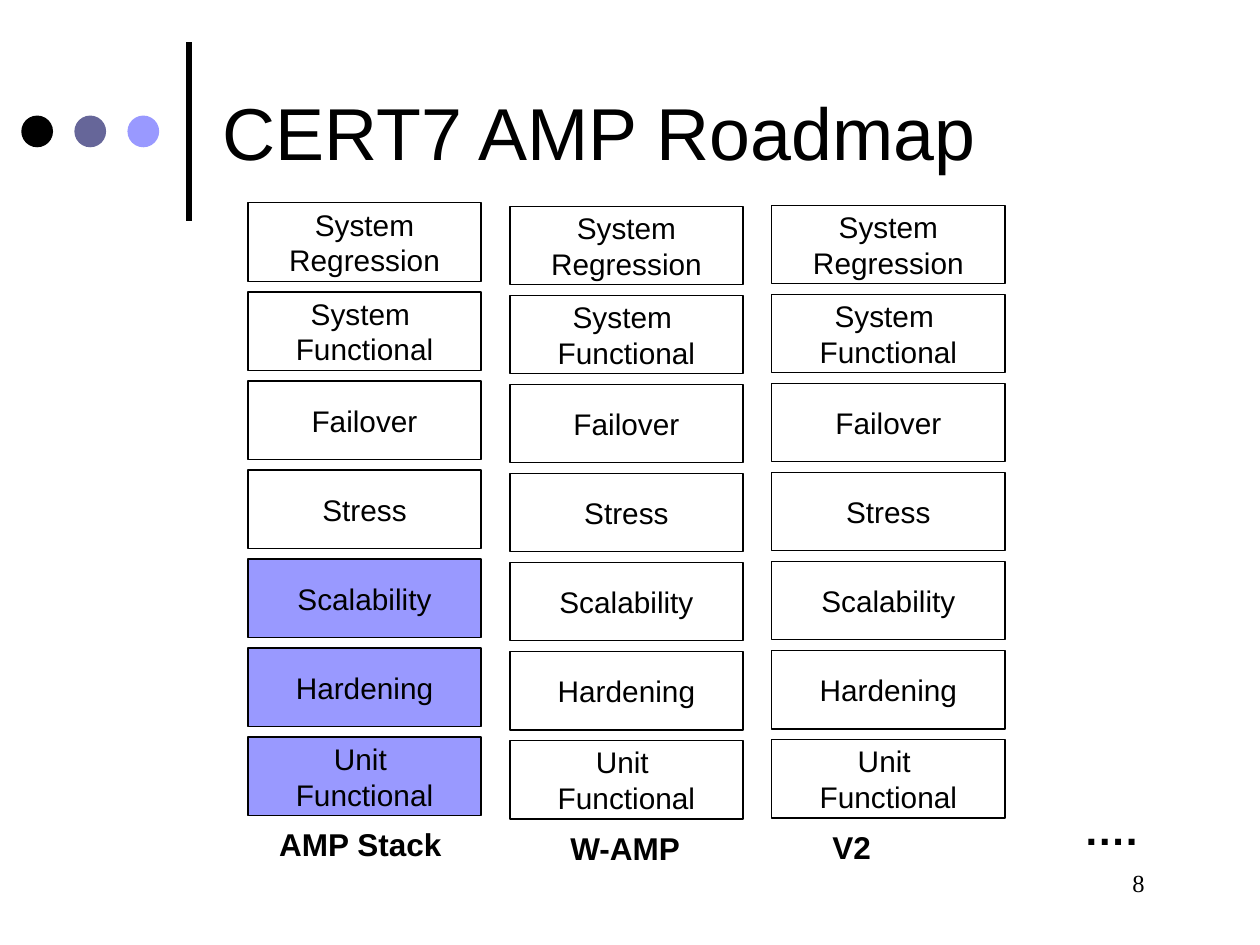
from dataclasses import dataclass

from lxml.etree import SubElement
from pptx import Presentation
from pptx.dml.color import RGBColor
from pptx.enum.shapes import MSO_CONNECTOR, MSO_SHAPE
from pptx.enum.text import MSO_ANCHOR, MSO_AUTO_SIZE, PP_ALIGN
from pptx.oxml.ns import qn
from pptx.util import Cm, Pt

COLORS = {"black": "000000", "slate": "666699", "lilac": "9999FF", "white": "FFFFFF"}
STAGES = ["System\nRegression", "System \nFunctional", "Failover", "Stress",
          "Scalability", "Hardening", "Unit \nFunctional"]
BOX_W, BOX_H = 4.7, 1.58
STACK_H = 12.35
PITCH = (STACK_H - BOX_H) / (len(STAGES) - 1)
COLUMN_LEFT, COLUMN_STEP = 5.0, 5.28
LABEL_DROP, LABEL_H = 12.42, 1.02

BOX_FONT = {"name": "Arial", "size": Pt(17)}
LABEL_FONT = {"name": "Arial", "size": Pt(18), "bold": True}
TITLE_FONT = {"name": "Arial", "size": Pt(42)}
DOTS_FONT = {"name": "Arial", "size": Pt(24), "bold": True}
NUMBER_FONT = {"name": "Times New Roman", "size": Pt(14)}


@dataclass
class Column:
    label: str
    top: float
    label_indent: float
    label_w: float
    done: int = 0


COLUMNS = [
    Column("AMP Stack", 4.09, 0.38, 3.85, done=3),
    Column("W-AMP", 4.16, 0.97, 2.8),
    Column("V2", 4.14, 0.97, 1.4),
]


def rgb(name: str) -> RGBColor:
    return RGBColor.from_string(COLORS[name])


def write(sp, text: str, fmt: dict, align=PP_ALIGN.LEFT, anchor=MSO_ANCHOR.TOP,
          wrap: bool = False, grow: bool = False) -> None:
    tf = sp.text_frame
    tf.word_wrap = wrap
    tf.vertical_anchor = anchor
    tf.auto_size = MSO_AUTO_SIZE.SHAPE_TO_FIT_TEXT if grow else MSO_AUTO_SIZE.NONE
    p = tf.paragraphs[0]
    p.text = text
    p.alignment = align
    for r in p.runs:
        for key, value in fmt.items():
            setattr(r.font, key, value)
        r.font.color.rgb = rgb("black")


def add_text(shapes, x: float, y: float, w: float, h: float,
             text: str, fmt: dict, **layout):
    sp = shapes.add_textbox(Cm(x), Cm(y), Cm(w), Cm(h))
    write(sp, text, fmt, **layout)
    return sp


def add_filled(shapes, kind, x: float, y: float, w: float, h: float, fill: str):
    sp = shapes.add_shape(kind, Cm(x), Cm(y), Cm(w), Cm(h))
    sp.shadow.inherit = False
    sp.fill.solid()
    sp.fill.fore_color.rgb = rgb(fill)
    sp.line.fill.background()
    return sp


def add_column(s, x: float, col: Column) -> None:
    shapes = s.shapes.add_group_shape().shapes
    for i, stage in enumerate(STAGES):
        fill = "lilac" if i >= len(STAGES) - col.done else "white"
        sp = add_filled(shapes, MSO_SHAPE.RECTANGLE, x, col.top + i * PITCH,
                        BOX_W, BOX_H, fill)
        sp.line.color.rgb = rgb("black")
        sp.line.width = Pt(0.75)
        write(sp, stage, BOX_FONT, align=PP_ALIGN.CENTER, anchor=MSO_ANCHOR.MIDDLE)
    add_text(shapes, x + col.label_indent, col.top + LABEL_DROP,
             col.label_w, LABEL_H, col.label, LABEL_FONT, grow=True)


def add_ornament(s) -> None:
    bar = s.shapes.add_connector(MSO_CONNECTOR.STRAIGHT,
                                 Cm(3.81), Cm(4.45), Cm(3.81), Cm(0.84))
    bar.line.color.rgb = rgb("black")
    bar.line.width = Pt(3)
    SubElement(bar.element.spPr, qn("a:effectLst"))
    for i, fill in enumerate(["black", "slate", "lilac"]):
        add_filled(s.shapes, MSO_SHAPE.OVAL, 0.43 + i * 1.07, 2.33, 0.64, 0.64, fill)


def main() -> None:
    prs = Presentation()
    prs.slide_width, prs.slide_height = Cm(25.4), Cm(19.05)
    s = prs.slides.add_slide(prs.slide_layouts[6])
    add_ornament(s)
    add_text(s.shapes, 4.24, 0.53, 19.48, 4.24, "CERT7 AMP Roadmap", TITLE_FONT,
             anchor=MSO_ANCHOR.MIDDLE, wrap=True)
    for i, col in enumerate(COLUMNS):
        add_column(s, COLUMN_LEFT + i * COLUMN_STEP, col)
    add_text(s.shapes, 21.6, 16.08, 1.7, 1.27, "….", DOTS_FONT, grow=True)
    number = add_text(s.shapes, 21.97, 17.37, 1.27, 0.84, "8", NUMBER_FONT, wrap=True)
    p = number.text_frame.paragraphs[0]
    p._p.get_or_add_pPr().set("marL", str(Cm(0.61)))
    prs.save("out.pptx")


if __name__ == "__main__":
    main()
